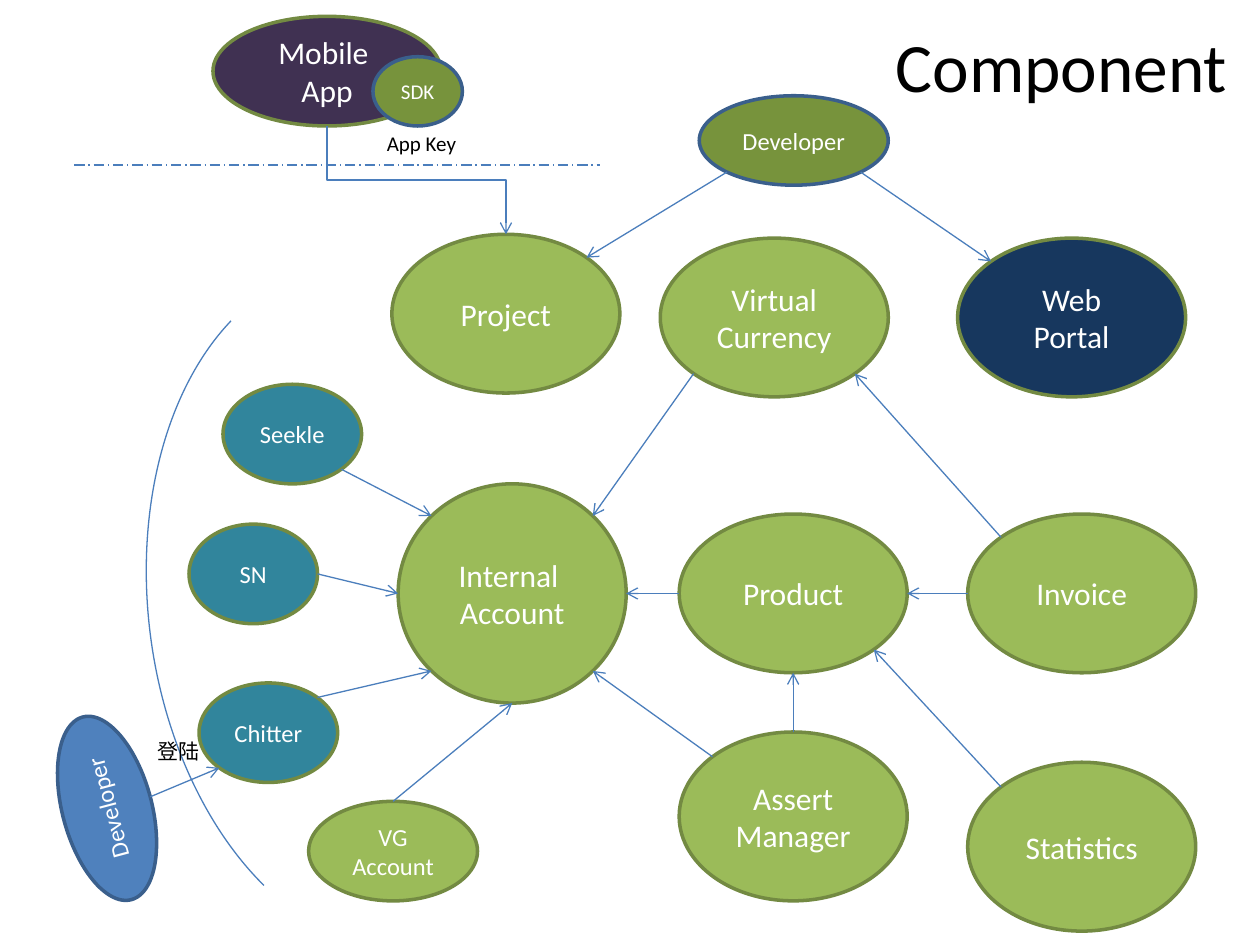
import math

import pptx
import pptx.util
import pptx.oxml.ns
from lxml import etree
from pptx.dml.color import RGBColor
from pptx.enum.dml import MSO_LINE
from pptx.enum.shapes import MSO_CONNECTOR, MSO_SHAPE
from pptx.enum.text import MSO_ANCHOR, PP_ALIGN
from pptx.util import Inches

FONT = "Calibri"
COLORS = {
    "green": "9BBB59", "teal": "31859C", "navy": "17375E", "purple": "403152",
    "olive": "77933C", "blue": "4F81BD", "green edge": "738A42",
    "blue edge": "3A5F8C", "link": "4B7EBC", "white": "FFFFFF", "black": "000000",
}

# Components: key, text, (left, top, width, height), fill, font size
COMPONENTS = [
    ("internal", "Internal \nAccount", (3.16, 3.84, 1.81, 1.74), "green", 18),
    ("search", "Seekle", (1.77, 3.05, 1.1, 0.79), "teal", 14),
    ("social", "SN", (1.5, 4.16, 1.02, 0.79), "teal", 14),
    ("chat", "Chitter", (1.58, 5.42, 1.1, 0.79), "teal", 14),
    ("vg", "VG\nAccount", (2.45, 6.36, 1.34, 0.79), "green", 14),
    ("product", "Product", (5.39, 4.08, 1.81, 1.26), "green", 18),
    ("currency", "Virtual\nCurrency", (5.24, 1.89, 1.81, 1.26), "green", 18),
    ("invoice", "Invoice", (7.68, 4.08, 1.81, 1.26), "green", 18),
    ("manager", "Assert\nManager", (5.39, 5.81, 1.81, 1.34), "green", 18),
    ("statistics", "Statistics", (7.68, 6.05, 1.81, 1.34), "green", 18),
    ("project", "Project", (3.11, 1.86, 1.81, 1.26), "green", 18),
    ("portal", "Web\nPortal", (7.6, 1.89, 1.81, 1.26), "navy", 18),
    ("mobile", "Mobile \nApp", (1.69, 0.13, 1.81, 0.87), "purple", 18),
]

# Users and SDK: same fields plus rotation
ACTORS = [
    ("developer", "Developer", (5.55, 0.76, 1.5, 0.71), "olive", 14, 0),
    ("login", "Developer", (0.1, 6.06, 1.5, 0.71), "blue", 14, 255.1),
    ("sdk", "SDK", (2.96, 0.45, 0.71, 0.55), "olive", 12, 0),
]

# Ellipse connection sites run counterclockwise from the top in 45 degree steps
TOP, TOP_LEFT, LEFT, BOTTOM_LEFT, BOTTOM, BOTTOM_RIGHT, RIGHT, TOP_RIGHT = range(8)
ARROWS = [
    ("search", BOTTOM_RIGHT, "internal", TOP_LEFT),
    ("social", RIGHT, "internal", LEFT),
    ("chat", TOP_RIGHT, "internal", BOTTOM_LEFT),
    ("vg", TOP, "internal", BOTTOM),
    ("login", BOTTOM, "chat", BOTTOM_LEFT),
    ("invoice", TOP_LEFT, "currency", BOTTOM_RIGHT),
    ("invoice", LEFT, "product", RIGHT),
    ("product", LEFT, "internal", RIGHT),
    ("currency", BOTTOM_LEFT, "internal", TOP_RIGHT),
    ("manager", TOP_LEFT, "internal", BOTTOM_RIGHT),
    ("manager", TOP, "product", BOTTOM),
    ("statistics", TOP_LEFT, "product", BOTTOM_RIGHT),
    ("developer", BOTTOM_LEFT, "project", TOP_RIGHT),
    ("developer", BOTTOM_RIGHT, "portal", TOP_LEFT),
]

LABELS = [
    ("登陆", (0.91, 5.81, 1.02, 0.3)),
    ("App Key", (2.95, 0.99, 0.79, 0.3)),
]


def color(name):
    return RGBColor.from_string(COLORS[name])


def add_child(parent, tag, **attributes):
    return etree.SubElement(parent, pptx.oxml.ns.qn(tag), attributes)


def format_text(text_frame, size, color_name):
    text_frame.word_wrap = True
    for paragraph in text_frame.paragraphs:
        paragraph.alignment = PP_ALIGN.CENTER
        paragraph.font.name = FONT
        paragraph.font.size = pptx.util.Pt(size)
        paragraph.font.color.rgb = color(color_name)


def add_ellipse(slide, kind, text, box, fill, edge, size, rotation=0):
    shape = slide.shapes.add_shape(kind, *map(Inches, box))
    shape.shadow.inherit = False
    shape.rotation = rotation
    shape.fill.solid()
    shape.fill.fore_color.rgb = color(fill)
    shape.line.color.rgb = color(edge)
    shape.line.width = pptx.util.Pt(2)
    shape.text_frame.text = text
    shape.text_frame.vertical_anchor = MSO_ANCHOR.MIDDLE
    format_text(shape.text_frame, size, "white")
    return shape


def site_point(shape, site):
    angle = math.radians(45 * site)
    turn = math.radians(shape.rotation)
    across = -shape.width / 2 * math.sin(angle)
    down = -shape.height / 2 * math.cos(angle)
    x = shape.left + shape.width / 2 + across * math.cos(turn) - down * math.sin(turn)
    y = shape.top + shape.height / 2 + across * math.sin(turn) + down * math.cos(turn)
    return round(x), round(y)


def add_line(slide, start, end, kind=MSO_CONNECTOR.STRAIGHT):
    connector = slide.shapes.add_connector(kind, *start, *end)
    connector.line.color.rgb = color("link")
    connector.line.width = pptx.util.Pt(0.75)
    add_child(connector._element.spPr, "a:effectLst")
    return connector


def add_arrow(slide, source, source_site, target, target_site, kind=MSO_CONNECTOR.STRAIGHT):
    connector = add_line(slide, site_point(source, source_site),
                         site_point(target, target_site), kind)
    add_child(connector.line._get_or_add_ln(), "a:tailEnd", type="arrow")
    joints = connector._element.nvCxnSpPr.cNvCxnSpPr
    add_child(joints, "a:stCxn", id=str(source.shape_id), idx=str(source_site))
    add_child(joints, "a:endCxn", id=str(target.shape_id), idx=str(target_site))
    return connector


def turn_elbow_upright(connector):
    """Make the elbow leave and arrive vertically."""
    center_x = connector.left + connector.width // 2
    center_y = connector.top + connector.height // 2
    connector.width, connector.height = connector.height, connector.width
    connector.left = center_x - connector.width // 2
    connector.top = center_y - connector.height // 2
    frame = connector._element.spPr.find(pptx.oxml.ns.qn("a:xfrm"))
    frame.set("rot", str(270 * 60000))
    frame.set("flipH", "1")


def main():
    presentation = pptx.Presentation()
    presentation.slide_width, presentation.slide_height = Inches(10), Inches(7.5)
    slide = presentation.slides.add_slide(presentation.slide_layouts[5])

    # Title
    title = slide.shapes.title
    title.left, title.top, title.width, title.height = map(Inches, (6.96, 0.13, 2.93, 0.77))
    title.text_frame.text = "Component"
    title.text_frame.vertical_anchor = MSO_ANCHOR.MIDDLE
    format_text(title.text_frame, 39.6, "black")

    # Components and actors
    nodes = {}
    for key, text, box, fill, size in COMPONENTS:
        nodes[key] = add_ellipse(slide, MSO_SHAPE.FLOWCHART_CONNECTOR, text, box,
                                 fill, "green edge", size)
    for key, text, box, fill, size, rotation in ACTORS:
        nodes[key] = add_ellipse(slide, MSO_SHAPE.OVAL, text, box,
                                 fill, "blue edge", size, rotation)

    # Arrows
    for source, source_site, target, target_site in ARROWS:
        add_arrow(slide, nodes[source], source_site, nodes[target], target_site)
    elbow = add_arrow(slide, nodes["mobile"], BOTTOM, nodes["project"], TOP,
                      MSO_CONNECTOR.ELBOW)
    turn_elbow_upright(elbow)

    # Boundary around the external accounts
    arc = slide.shapes.add_shape(MSO_SHAPE.ARC, *map(Inches, (1.18, 2.09, 3.64, 5.46)))
    arc.shadow.inherit = False
    arc.adjustments[0], arc.adjustments[1] = 173.81, 36.13
    arc.rotation = 352.5
    arc._element.spPr.find(pptx.oxml.ns.qn("a:xfrm")).set("flipH", "1")
    arc.fill.background()
    arc.line.color.rgb = color("link")
    arc.line.width = pptx.util.Pt(0.75)

    # Boundary below the mobile app
    boundary = add_line(slide, (Inches(0.59), Inches(1.31)), (Inches(4.76), Inches(1.31)))
    boundary.line.dash_style = MSO_LINE.LONG_DASH_DOT

    # Labels
    for text, box in LABELS:
        label = slide.shapes.add_textbox(*map(Inches, box))
        label.text_frame.text = text
        format_text(label.text_frame, 12, "black")

    presentation.save("out.pptx")


if __name__ == "__main__":
    main()
